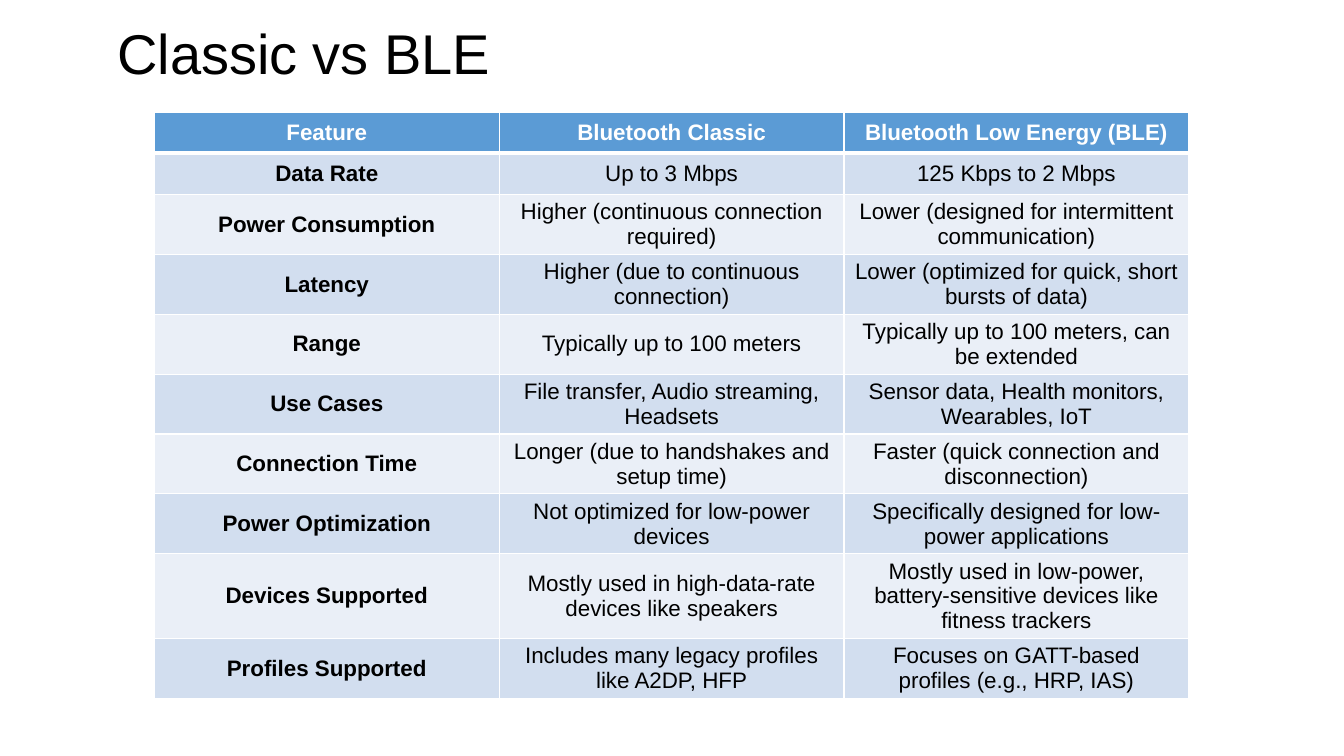
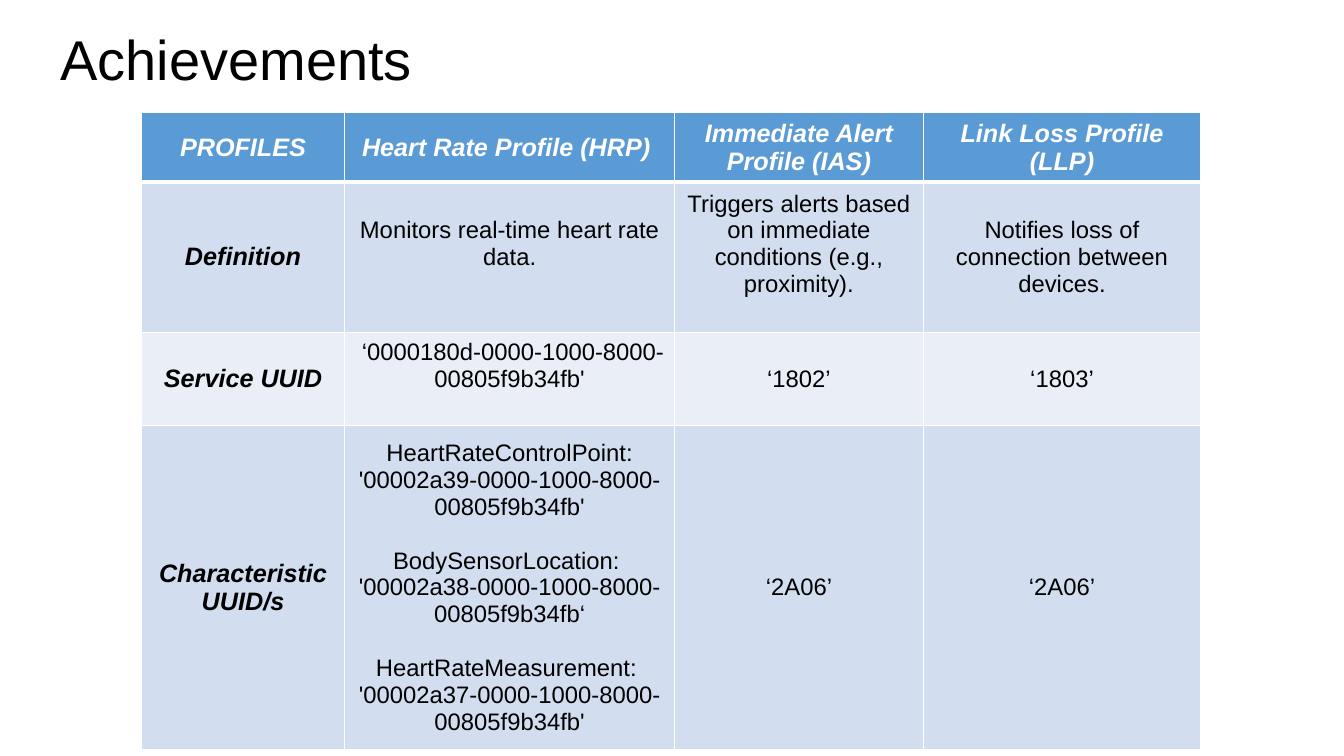
from collections import namedtuple

from lxml.etree import SubElement
from pptx import Presentation
from pptx.dml.color import RGBColor as Rgb
from pptx.enum.text import MSO_ANCHOR as Anchor, MSO_AUTO_SIZE as AutoSize, PP_ALIGN as Align
from pptx.oxml.ns import qn
from pptx.util import Cm, Pt

Box = namedtuple("Box", "left top width height")

COLORS = {"ink": "000000", "paper": "FFFFFF", "header": "5B9BD5",
          "odd": "D2DEEF", "even": "EAEFF7"}
FONT = "Arial"
TITLE_FORMAT = {"size": Pt(40), "bold": False}
TITLE_FRAME = {"vertical_anchor": Anchor.MIDDLE, "word_wrap": True,
               "auto_size": AutoSize.NONE}
TITLE_PARAGRAPH = {"alignment": Align.LEFT, "line_spacing": 0.9}
RULE, HEADER_RULE = Pt(1), Pt(3)

COMPARISON = [
    ["Feature", "Bluetooth Classic", "Bluetooth Low Energy (BLE)"],
    ["Data Rate", "Up to 3 Mbps", "125 Kbps to 2 Mbps"],
    ["Power Consumption", "Higher (continuous connection required)",
     "Lower (designed for intermittent communication)"],
    ["Latency", "Higher (due to continuous connection)",
     "Lower (optimized for quick, short bursts of data)"],
    ["Range", "Typically up to 100 meters",
     "Typically up to 100 meters, can be extended"],
    ["Use Cases", "File transfer, Audio streaming, Headsets",
     "Sensor data, Health monitors, Wearables, IoT"],
    ["Connection Time", "Longer (due to handshakes and setup time)",
     "Faster (quick connection and disconnection)"],
    ["Power Optimization", "Not optimized for low-power devices",
     "Specifically designed for low-power applications"],
    ["Devices Supported", "Mostly used in high-data-rate devices like speakers",
     "Mostly used in low-power, battery-sensitive devices like fitness trackers"],
    ["Profiles Supported", "Includes many legacy profiles like A2DP, HFP",
     "Focuses on GATT-based profiles (e.g., HRP, IAS)"],
]
PROFILES = [
    ["PROFILES", "Heart Rate Profile (HRP) ", "Immediate Alert Profile (IAS)",
     "Link Loss Profile (LLP)"],
    ["Definition", "Monitors real-time heart rate data.",
     "Triggers alerts based on immediate conditions (e.g., proximity).",
     "Notifies loss of connection between devices."],
    ["Service UUID", " ‘0000180d-0000-1000-8000-00805f9b34fb'", "‘1802’", "‘1803’"],
    ["Characteristic UUID/s",
     "HeartRateControlPoint:\v'00002a39-0000-1000-8000-00805f9b34fb'\n"
     "BodySensorLocation: \v'00002a38-0000-1000-8000-00805f9b34fb‘\n"
     "HeartRateMeasurement: \v'00002a37-0000-1000-8000-00805f9b34fb'",
     "‘2A06’", "‘2A06’"],
]
RAISED_CELLS = [(1, 1), (1, 2), (2, 1)]


def apply(target, values):
    """Set every attribute named in values on the target."""
    for name, value in values.items():
        setattr(target, name, value)


def style_font(font, color, values):
    """Give a font the deck's typeface, a palette colour and its format values."""
    apply(font, {"name": FONT, **values})
    font.color.rgb = Rgb.from_string(COLORS[color])


def add_title(slide, text, box):
    """Fill the title placeholder and move it into the box."""
    title = slide.shapes.title
    apply(title, box._asdict())
    frame = title.text_frame
    apply(frame, TITLE_FRAME)
    frame.text = text
    heading = frame.paragraphs[0]
    apply(heading, TITLE_PARAGRAPH)
    style_font(heading.runs[0].font, "ink", TITLE_FORMAT)


def add_borders(cell, row):
    """Draw white rules round a cell, heavier under the header row."""
    properties = cell._tc.get_or_add_tcPr()
    widths = {"lnL": RULE, "lnR": RULE,
              "lnT": HEADER_RULE if row == 1 else RULE,
              "lnB": HEADER_RULE if row == 0 else RULE}
    for side, width in widths.items():
        line = SubElement(properties, qn(f"a:{side}"), w=str(int(width)))
        fill = SubElement(line, qn("a:solidFill"))
        SubElement(fill, qn("a:srgbClr"), val=COLORS["paper"])


def fill_cell(cell, text, row, values, gap):
    """Write, format and shade one table cell."""
    add_borders(cell, row)
    band = "header" if row == 0 else "odd" if row % 2 else "even"
    cell.fill.solid()
    cell.fill.fore_color.rgb = Rgb.from_string(COLORS[band])
    cell.vertical_anchor = Anchor.MIDDLE
    cell.text_frame.text = text
    for index, paragraph in enumerate(cell.text_frame.paragraphs):
        paragraph.alignment = Align.CENTER
        if index:
            paragraph.space_before = gap
        for run in paragraph.runs:
            style_font(run.font, "paper" if row == 0 else "ink", values)


def add_feature_table(slide, content, box, widths, heights, label, body, gap=Pt(0)):
    """Place a banded table with a header row and a label column in the box."""
    table = slide.shapes.add_table(len(content), len(content[0]), *box).table
    for column, width in zip(table.columns, widths):
        column.width = Cm(width)
    for line, height in zip(table.rows, heights):
        line.height = Cm(height)
    for row, texts in enumerate(content):
        for column, text in enumerate(texts):
            values = label if row == 0 or column == 0 else body
            fill_cell(table.cell(row, column), text, row, values, gap)
    return table


def build_comparison(slide):
    """Build the slide that compares the two radio modes."""
    add_title(slide, "Classic vs BLE", Box(Cm(2.7), Cm(0), Cm(21), Cm(2.82)))
    add_feature_table(slide, COMPARISON, Box(Cm(3.89), Cm(2.82), Cm(26.07), Cm(10.4)),
                      [8.69] * 3, [1.04] * len(COMPARISON),
                      {"size": Pt(16), "bold": True}, {"size": Pt(16), "bold": False})


def build_achievements(slide):
    """Build the slide that lists the supported profiles."""
    add_title(slide, "Achievements", Box(Cm(1.27), Cm(-0.28), Cm(29.2), Cm(3.68)))
    table = add_feature_table(
        slide, PROFILES, Box(Cm(3.56), Cm(2.84), Cm(26.7), Cm(16.04)),
        [5.13, 8.31, 6.27, 6.99], [1.75, 3.78, 2.36, 8.15],
        {"size": Pt(18), "bold": True, "italic": True},
        {"size": Pt(17), "bold": False, "italic": False}, Pt(19.5))
    for row, column in RAISED_CELLS:
        table.cell(row, column).margin_bottom = Cm(0.8)


def main():
    """Build the deck and save it."""
    deck = Presentation()
    apply(deck, {"slide_width": Cm(33.87), "slide_height": Cm(19.05)})
    title_only = deck.slide_layouts[5]
    for build in (build_comparison, build_achievements):
        build(deck.slides.add_slide(title_only))
    deck.save("out.pptx")


if __name__ == "__main__":
    main()
